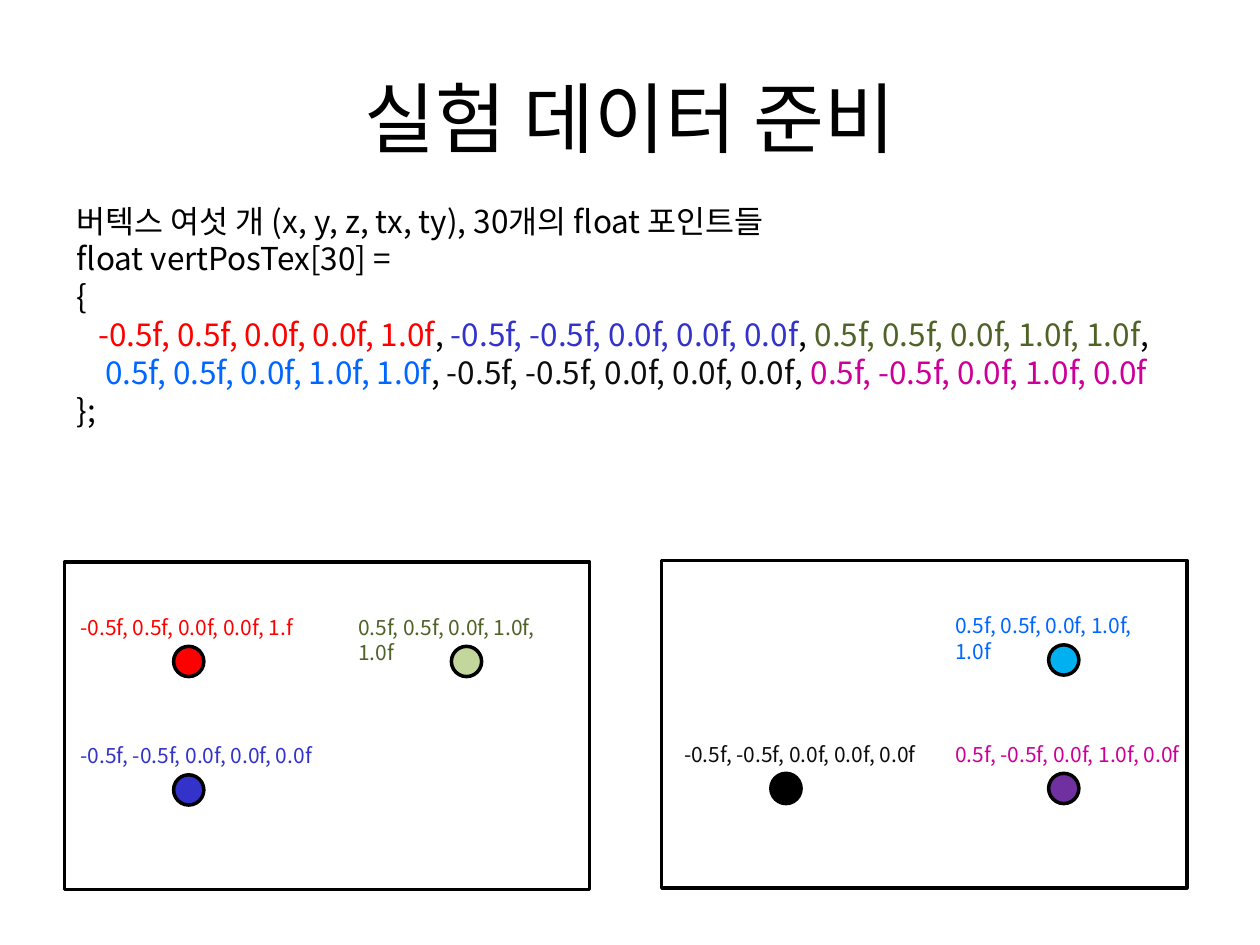
"""Build the slide that lists six textured vertices and plots them in two panels."""
from dataclasses import dataclass

from lxml import etree
from pptx import Presentation
from pptx.dml.color import RGBColor
from pptx.enum.shapes import MSO_SHAPE
from pptx.enum.text import MSO_ANCHOR, MSO_AUTO_SIZE, PP_ALIGN
from pptx.oxml.ns import qn
from pptx.slide import Slide
from pptx.util import Cm, Pt

RECTANGLE, OVAL = MSO_SHAPE.RECTANGLE, MSO_SHAPE.OVAL
LEFT, CENTER = PP_ALIGN.LEFT, PP_ALIGN.CENTER
TOP, MIDDLE = MSO_ANCHOR.TOP, MSO_ANCHOR.MIDDLE
FIT_SHAPE, NO_FIT = MSO_AUTO_SIZE.SHAPE_TO_FIT_TEXT, MSO_AUTO_SIZE.NONE

FONT = "Noto Sans CJK KR"
BLACK = RGBColor(0x00, 0x00, 0x00)
WHITE = RGBColor(0xFF, 0xFF, 0xFF)
RED = RGBColor(0xFF, 0x00, 0x00)
INDIGO = RGBColor(0x33, 0x33, 0xCC)
OLIVE = RGBColor(0x4F, 0x62, 0x28)
LIGHT_GREEN = RGBColor(0xC3, 0xD6, 0x9B)
BLUE = RGBColor(0x00, 0x66, 0xFF)
SKY = RGBColor(0x00, 0xB0, 0xF0)
NEAR_BLACK = RGBColor(0x0D, 0x0D, 0x0D)
MAGENTA = RGBColor(0xCC, 0x00, 0x99)
PURPLE = RGBColor(0x70, 0x30, 0xA0)

PANEL_SIZE = (10.59, 6.6)
DOT_SIZE = (0.61, 0.61)
DOT_COLUMNS = (2.2, 7.8)
DOT_ROWS = (1.7, 4.29)
LABEL_RISE = 0.77
LABEL_HEIGHT = 0.76

TOP_LEFT = "-0.5f, 0.5f, 0.0f, 0.0f, 1.0f"
BOTTOM_LEFT = "-0.5f, -0.5f, 0.0f, 0.0f, 0.0f"
TOP_RIGHT = "0.5f, 0.5f, 0.0f, 1.0f, 1.0f"
BOTTOM_RIGHT = "0.5f, -0.5f, 0.0f, 1.0f, 0.0f"


@dataclass(frozen=True)
class Vertex:
    column: int
    row: int
    label: str
    ink: RGBColor
    fill: RGBColor
    label_width: float = 5.21
    label_lead: float = 2.13


@dataclass(frozen=True)
class Panel:
    left: float
    top: float
    vertices: tuple[Vertex, ...]


@dataclass(frozen=True)
class Line:
    runs: tuple[tuple[str, RGBColor], ...]
    indent: float = 0


PANELS = (
    Panel(1.3, 11.33, (
        Vertex(0, 0, "-0.5f, 0.5f, 0.0f, 0.0f, 1.f", RED, RED),
        Vertex(0, 1, BOTTOM_LEFT, INDIGO, INDIGO),
        Vertex(1, 0, TOP_RIGHT, OLIVE, LIGHT_GREEN, label_width=4.88),
    )),
    Panel(13.34, 11.3, (
        Vertex(0, 1, BOTTOM_LEFT, NEAR_BLACK, BLACK, label_lead=2.0),
        Vertex(1, 0, TOP_RIGHT, BLUE, SKY, label_width=4.88),
        Vertex(1, 1, BOTTOM_RIGHT, MAGENTA, PURPLE),
    )),
)

TITLE = (Line((("실험 데이터 준비", BLACK),)),)
CODE = (
    Line((("버텍스 여섯 개 (x, y, z, tx, ty), 30개의 float 포인트들", BLACK),)),
    Line((("float vertPosTex[30] =", BLACK),)),
    Line((("{", BLACK),)),
    Line(((TOP_LEFT, RED), (", ", BLACK), (BOTTOM_LEFT, INDIGO), (", ", BLACK),
          (TOP_RIGHT, OLIVE), (",", BLACK)), indent=0.43),
    Line(((TOP_RIGHT, BLUE), (", ", BLACK), (BOTTOM_LEFT, NEAR_BLACK), (", ", BLACK),
          (BOTTOM_RIGHT, MAGENTA)), indent=0.57),
    Line((("};", BLACK),)),
)


def add_text(slide: Slide, lines: tuple[Line, ...], *, left: float, top: float,
             width: float, height: float, size: int, align: PP_ALIGN = LEFT,
             anchor: MSO_ANCHOR = TOP, fit: MSO_AUTO_SIZE = FIT_SHAPE) -> None:
    box = slide.shapes.add_textbox(Cm(left), Cm(top), Cm(width), Cm(height))
    frame = box.text_frame
    frame.word_wrap = True
    frame.auto_size = fit
    frame.vertical_anchor = anchor
    for index, line in enumerate(lines):
        paragraph = frame.add_paragraph() if index else frame.paragraphs[0]
        paragraph.alignment = align
        if line.indent:
            paragraph._p.get_or_add_pPr().set("marL", str(Cm(line.indent)))
        for text, ink in line.runs:
            run = paragraph.add_run()
            run.text = text
            run.font.size = Pt(size)
            run.font.name = FONT
            run.font.color.rgb = ink
            east_asian = etree.Element(qn("a:ea"), typeface=FONT)
            run.font._element.find(qn("a:latin")).addnext(east_asian)


def add_outlined(slide: Slide, kind: MSO_SHAPE, left: float, top: float,
                 size: tuple[float, float], fill: RGBColor) -> None:
    width, height = size
    shape = slide.shapes.add_shape(kind, Cm(left), Cm(top), Cm(width), Cm(height))
    shape.shadow.inherit = False
    shape.fill.solid()
    shape.fill.fore_color.rgb = fill
    shape.line.color.rgb = BLACK
    shape.line.width = Pt(2)


def add_panel(slide: Slide, panel: Panel) -> None:
    add_outlined(slide, RECTANGLE, panel.left, panel.top, PANEL_SIZE, WHITE)
    for vertex in panel.vertices:
        left = panel.left + DOT_COLUMNS[vertex.column]
        top = panel.top + DOT_ROWS[vertex.row]
        add_outlined(slide, OVAL, left, top, DOT_SIZE, vertex.fill)
        add_text(slide, (Line(((vertex.label, vertex.ink),)),),
                 left=left - vertex.label_lead, top=top - LABEL_RISE,
                 width=vertex.label_width, height=LABEL_HEIGHT, size=12)


def main() -> None:
    presentation = Presentation()
    presentation.slide_width, presentation.slide_height = Cm(25.4), Cm(19.05)
    slide = presentation.slides.add_slide(presentation.slide_layouts[6])
    add_text(slide, TITLE, left=1.27, top=0.76, width=22.86, height=3.18, size=44,
             align=CENTER, anchor=MIDDLE, fit=NO_FIT)
    add_text(slide, CODE, left=1.3, top=3.94, width=22.61, height=4.88, size=18)
    for panel in PANELS:
        add_panel(slide, panel)
    presentation.save("out.pptx")


if __name__ == "__main__":
    main()
